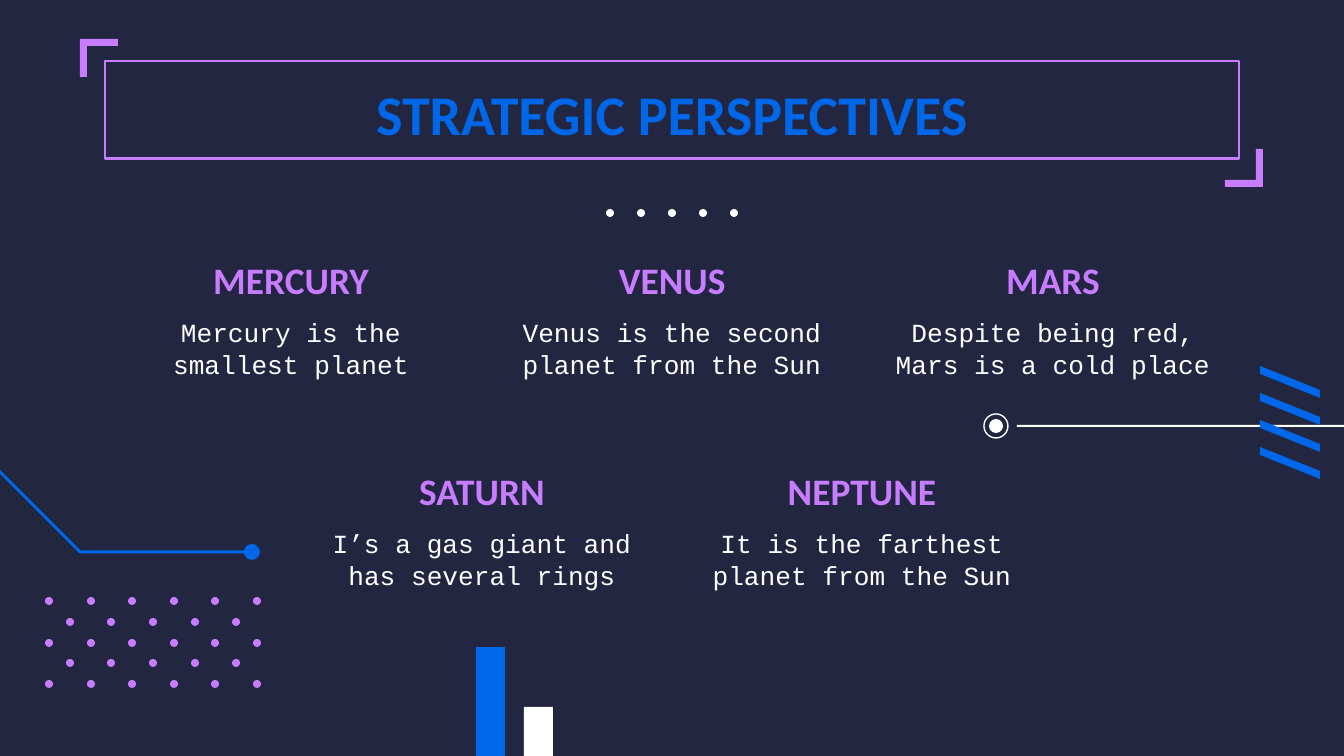
from dataclasses import dataclass

from pptx import Presentation
from pptx.dml.color import RGBColor
from pptx.enum.shapes import MSO_SHAPE
from pptx.enum.text import MSO_ANCHOR, PP_ALIGN
from pptx.util import Pt

EMU_PER_PX = 914400 / 134.4
RECTANGLE, OVAL = MSO_SHAPE.RECTANGLE, MSO_SHAPE.OVAL
TOP, MIDDLE = MSO_ANCHOR.TOP, MSO_ANCHOR.MIDDLE
CENTER = PP_ALIGN.CENTER


@dataclass(frozen=True)
class Theme:
    """Colours, fonts and type sizes of the slide."""

    navy: str = "222640"
    blue: str = "0068E8"
    violet: str = "C87CFF"
    white: str = "FFFFFF"
    heading_font: str = "Calibri"
    body_font: str = "Courier New"
    title_size: int = 30
    heading_size: int = 20
    body_size: int = 14


THEME = Theme()

PLANETS = [
    (117, 246, "MERCURY", "Mercury is the smallest planet"),
    (498, 246, "VENUS", "Venus is the second planet from the Sun"),
    (879, 246, "MARS", "Despite being red, Mars is a cold place"),
    (308, 457, "SATURN", "I’s a gas giant and has several rings"),
    (688, 457, "NEPTUNE", "It is the farthest planet from the Sun"),
]


def px(length):
    """Turn pixels into EMU."""
    return round(length * EMU_PER_PX)


def style_shape(shape, fill=None, line=None, weight=1.5):
    """Set fill and outline, leaving out whichever is not given."""
    shape.shadow.inherit = False
    if fill:
        shape.fill.solid()
        shape.fill.fore_color.rgb = RGBColor.from_string(fill)
    else:
        shape.fill.background()
    if line:
        shape.line.color.rgb = RGBColor.from_string(line)
        shape.line.width = Pt(weight)
    else:
        shape.line.fill.background()


def add_preset(page, kind, left, top, width, height, **style):
    """Add a preset shape."""
    shape = page.shapes.add_shape(kind, px(left), px(top), px(width), px(height))
    style_shape(shape, **style)


def add_circle(page, center_x, center_y, diameter, **style):
    """Add a circle around a centre point."""
    radius = diameter // 2
    add_preset(page, OVAL, center_x - radius, center_y - radius, diameter, diameter, **style)


def add_outline(page, contours, close=True, **style):
    """Add one freeform made of one or more contours."""
    builder = page.shapes.build_freeform(*contours[0][0], scale=EMU_PER_PX)
    for index, (start, *points) in enumerate(contours):
        if index:
            builder.move_to(*start)
        builder.add_line_segments(points, close=close)
    style_shape(builder.convert_to_shape(), **style)


def add_text(page, text, left, top, width, height, font, size, color, bold=False, anchor=MIDDLE):
    """Add a centred, wrapping text box."""
    box = page.shapes.add_textbox(px(left), px(top), px(width), px(height))
    frame = box.text_frame
    frame.text = text
    frame.word_wrap = True
    frame.vertical_anchor = anchor
    frame.margin_left = frame.margin_right = frame.margin_top = frame.margin_bottom = Pt(7.2)
    para = frame.paragraphs[0]
    para.alignment = CENTER
    span = para.runs[0]
    span.font.name = font
    span.font.size = Pt(size)
    span.font.bold = bold
    span.font.color.rgb = RGBColor.from_string(color)


def add_corner(page, x, y, direction):
    """Add an L-shaped bracket that opens in the given direction."""
    arm, thick = 38 * direction, 7 * direction
    offsets = [(0, arm), (0, 0), (arm, 0), (arm, thick), (thick, thick), (thick, arm)]
    add_outline(page, [[(x + dx, y + dy) for dx, dy in offsets]], fill=THEME.violet)


def add_decorations(page):
    """Draw the target line, bars, slashes, dot lattice and circuit line."""
    add_preset(page, RECTANGLE, 1017, 425, 427, 2, fill=THEME.white)
    add_circle(page, 996, 426, 14, fill=THEME.white)
    add_circle(page, 996, 426, 24, line=THEME.white, weight=0.75)

    add_preset(page, RECTANGLE, 476, 647, 29, 157, fill=THEME.blue)
    add_preset(page, RECTANGLE, 524, 707, 29, 157, fill=THEME.white)

    slashes = [
        [(1260, y), (1260, y + 8), (1320, y + 32), (1320, y + 24)]
        for y in range(366, 448, 27)
    ]
    add_outline(page, slashes, fill=THEME.blue)

    for row in range(5):
        for column in range(row % 2, 11, 2):
            x, y = 49 + round(column * 20.8), 601 + round(row * 20.8)
            add_circle(page, x, y, 8, fill=THEME.violet)

    add_circle(page, 252, 552, 16, fill=THEME.blue)
    add_outline(page, [[(-116, 356), (80, 552), (252, 552)]], close=False, line=THEME.blue)


def add_title(page):
    """Draw the framed title and the row of dots under it."""
    add_preset(page, RECTANGLE, 105, 61, 1134, 98, line=THEME.violet)
    add_corner(page, 1263, 187, -1)
    add_corner(page, 80, 39, 1)
    add_text(page, "STRATEGIC PERSPECTIVES", 105, 66, 1134, 85, THEME.heading_font,
             THEME.title_size, THEME.blue, bold=True, anchor=TOP)
    for x in range(610, 735, 31):
        add_circle(page, x, 213, 8, fill=THEME.white)


def add_planet(page, left, top, name, description):
    """Add a planet's heading with its description below."""
    add_text(page, name, left, top, 348, 67, THEME.heading_font,
             THEME.heading_size, THEME.violet, bold=True)
    add_text(page, description, left, top + 55, 348, 94, THEME.body_font,
             THEME.body_size, THEME.white)


def main():
    """Build the slide and save it."""
    deck = Presentation()
    deck.slide_width, deck.slide_height = px(1344), px(756)
    page = deck.slides.add_slide(deck.slide_layouts[6])
    page.background.fill.solid()
    page.background.fill.fore_color.rgb = RGBColor.from_string(THEME.navy)
    add_decorations(page)
    add_title(page)
    for planet in PLANETS:
        add_planet(page, *planet)
    deck.save("out.pptx")


if __name__ == "__main__":
    main()
